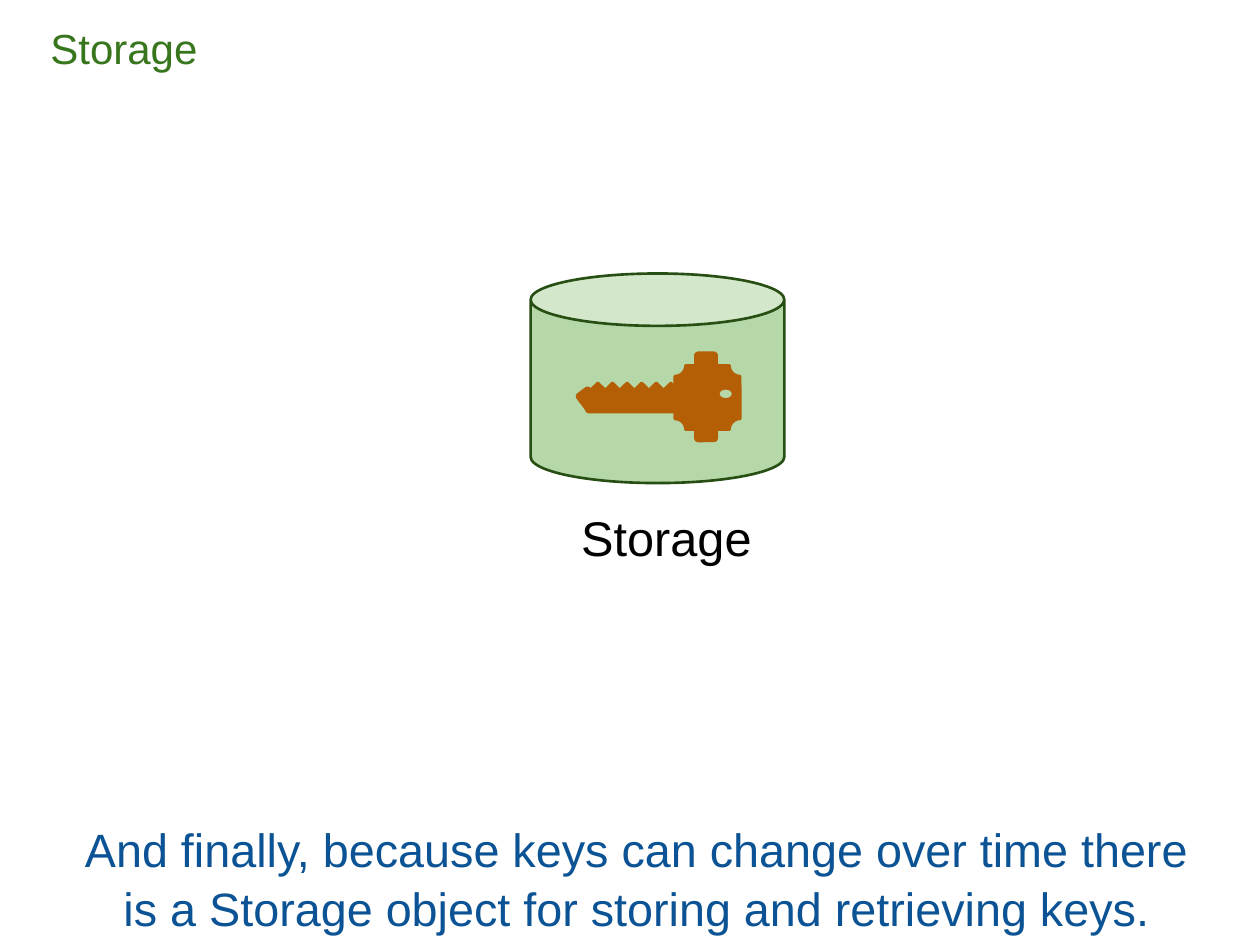
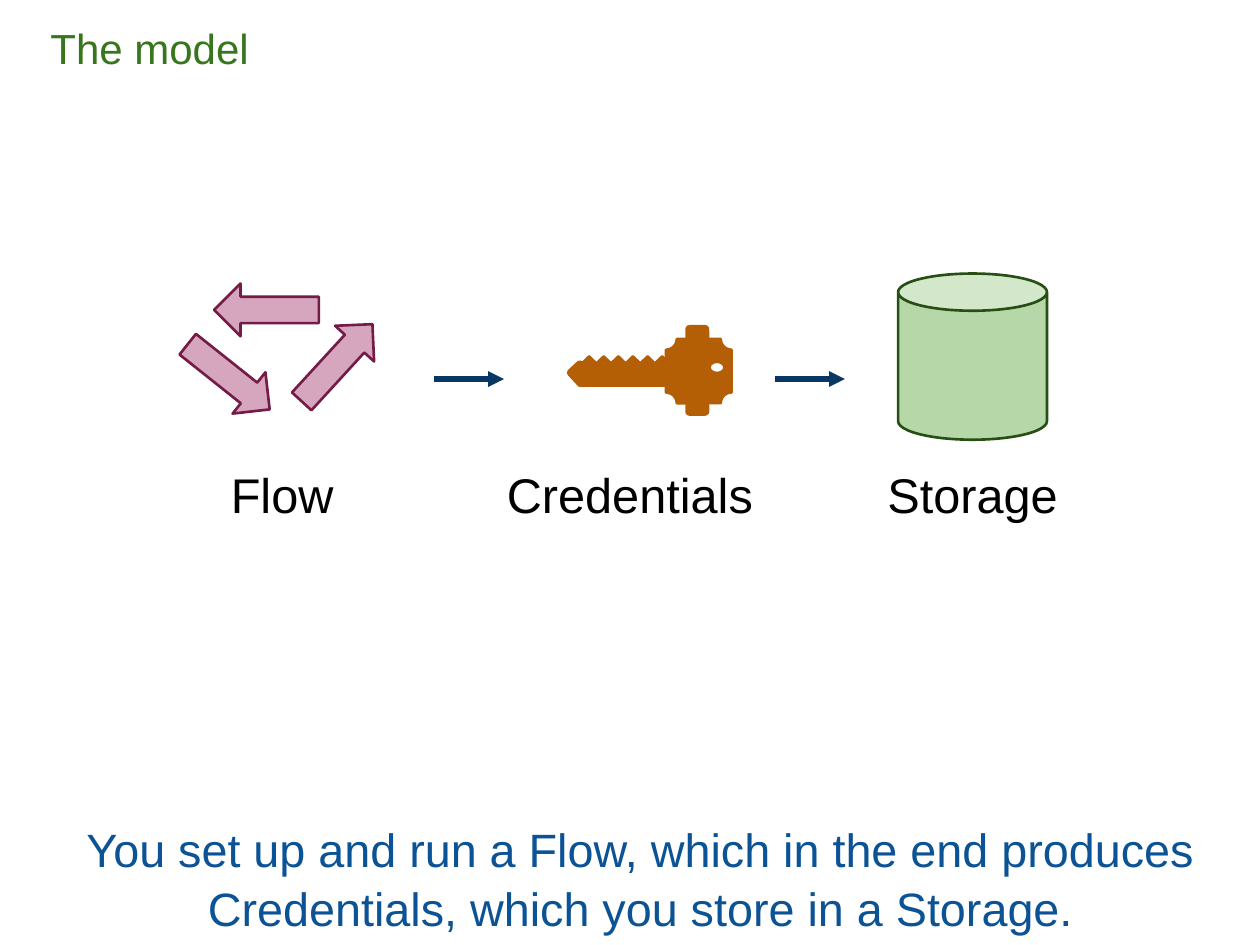
from dataclasses import dataclass
from typing import Any

from lxml.etree import SubElement
from pptx import Presentation
from pptx.dml.color import RGBColor
from pptx.enum.shapes import MSO_CONNECTOR, MSO_SHAPE
from pptx.enum.text import MSO_ANCHOR, MSO_AUTO_SIZE, PP_ALIGN
from pptx.oxml.ns import qn
from pptx.slide import Slide
from pptx.util import Pt

COLORS = {
    "title": "38761D",
    "caption": "0B5394",
    "label": "000000",
    "page": "FFFFFF",
    "storage": "B6D7A8",
    "storage_edge": "274E13",
    "key": "B45F06",
    "flow": "D5A6BD",
    "flow_edge": "741B47",
    "link": "073763",
}
FRAME_FORMAT = {
    "word_wrap": True,
    "auto_size": MSO_AUTO_SIZE.NONE,
    "margin_left": Pt(7.2),
    "margin_top": Pt(7.2),
    "margin_right": Pt(7.2),
    "margin_bottom": Pt(7.2),
}
LABEL_HEIGHT = 30.24
ROUNDING = 0.167


@dataclass(frozen=True)
class Box:
    left: float
    top: float
    width: float
    height: float
    rotation: float = 0

    def moved(self, dx: float, dy: float) -> "Box":
        return Box(self.left + dx, self.top + dy, self.width, self.height, self.rotation)

    def lengths(self) -> tuple:
        return Pt(self.left), Pt(self.top), Pt(self.width), Pt(self.height)


@dataclass(frozen=True)
class TextStyle:
    size: float
    color: str
    align: PP_ALIGN
    anchor: MSO_ANCHOR
    spacing: float = 1.0


@dataclass(frozen=True)
class Key:
    left: float
    top: float
    hole: str
    tip: Box


@dataclass(frozen=True)
class Label:
    text: str
    left: float
    top: float
    width: float = 115.2


TITLE = TextStyle(24, "title", PP_ALIGN.LEFT, MSO_ANCHOR.TOP)
LABEL = TextStyle(27.8, "label", PP_ALIGN.CENTER, MSO_ANCHOR.MIDDLE)
CAPTION = TextStyle(26.7, "caption", PP_ALIGN.CENTER, MSO_ANCHOR.TOP, 1.04)
TITLE_BOX = Box(21.6, 5.76, 686.88, 33.12)


def color(name: str) -> RGBColor:
    return RGBColor.from_string(COLORS[name])


def apply_format(target: Any, values: dict) -> None:
    for attribute, value in values.items():
        setattr(target, attribute, value)


def write(holder: Any, text: str, style: TextStyle) -> None:
    frame = holder.text_frame
    apply_format(frame, FRAME_FORMAT | {"vertical_anchor": style.anchor})
    paragraph = frame.paragraphs[0]
    apply_format(paragraph, {"alignment": style.align, "line_spacing": style.spacing})
    run = paragraph.add_run()
    run.text = text
    apply_format(run.font, {"name": "Arial", "size": Pt(style.size)})
    run.font.color.rgb = color(style.color)


def add_text(slide: Slide, box: Box, text: str, style: TextStyle) -> None:
    write(slide.shapes.add_textbox(*box.lengths()), text, style)


def add_label(slide: Slide, label: Label) -> None:
    box = Box(label.left, label.top, label.width, LABEL_HEIGHT)
    add_text(slide, box, label.text, LABEL)


def add_part(slide: Slide, kind: MSO_SHAPE, box: Box, fill: str, edge: str,
             adjustment: float | None = None) -> None:
    part = slide.shapes.add_shape(kind, *box.lengths())
    part.rotation = box.rotation
    part.shadow.inherit = False
    part.fill.solid()
    part.fill.fore_color.rgb = color(fill)
    part.line.color.rgb = color(edge)
    part.line.width = Pt(1.5)
    if adjustment is not None:
        part.adjustments[0] = adjustment


def add_storage(slide: Slide, box: Box) -> None:
    add_part(slide, MSO_SHAPE.CAN, box, "storage", "storage_edge", 0.25)


def add_key(slide: Slide, key: Key) -> None:
    def place(kind: MSO_SHAPE, box: Box, fill: str = "key",
              adjustment: float | None = None) -> None:
        add_part(slide, kind, box.moved(key.left, key.top), fill, "key", adjustment)

    place(MSO_SHAPE.PLAQUE, Box(54.4, 7.2, 37.4, 36.7), adjustment=ROUNDING)
    for top in (40.3, 0):
        place(MSO_SHAPE.ROUNDED_RECTANGLE, Box(66.2, top, 12.2, 10.1), adjustment=ROUNDING)
    place(MSO_SHAPE.OVAL, Box(79.2, 20.2, 8.6, 6.5), key.hole)
    for tooth in range(6):
        place(MSO_SHAPE.ISOSCELES_TRIANGLE, Box(8.35 * tooth, 17.2, 20.9, 10.1))
    for box in (key.tip, Box(3.8, 23.8, 62.6, 10.1)):
        place(MSO_SHAPE.ROUNDED_RECTANGLE, box, adjustment=ROUNDING)


def add_flow(slide: Slide) -> None:
    for left, top, rotation in ((122.4, 162, 0), (100.8, 200.2, 218.5), (162.7, 192.2, 132.5)):
        add_part(slide, MSO_SHAPE.LEFT_ARROW, Box(left, top, 59.8, 30.2, rotation),
                 "flow", "flow_edge")


def add_link(slide: Slide, left: float, length: float = 40, y: float = 216.6) -> None:
    link = slide.shapes.add_connector(
        MSO_CONNECTOR.STRAIGHT, Pt(left), Pt(y), Pt(left + length), Pt(y))
    link.line.color.rgb = color("link")
    link.line.width = Pt(3)
    SubElement(link.line._get_or_add_ln(), qn("a:tailEnd"), type="triangle")
    SubElement(link._element.spPr, qn("a:effectLst"))


def add_page(deck: Any, title: str, caption: str, caption_box: Box) -> Slide:
    slide = deck.slides.add_slide(deck.slide_layouts[5])
    slide.background.fill.solid()
    slide.background.fill.fore_color.rgb = color("page")
    heading = slide.shapes.title
    apply_format(heading, dict(zip(("left", "top", "width", "height"), TITLE_BOX.lengths())))
    write(heading, title, TITLE)
    add_text(slide, caption_box, caption, CAPTION)
    return slide


def build_storage(deck: Any) -> None:
    slide = add_page(
        deck, "Storage",
        "And finally, because keys can change over time there is a Storage object "
        "for storing and retrieving keys.",
        Box(33.84, 460.8, 660.96, 65.52))
    add_storage(slide, Box(303.2, 156.3, 145, 119.8))
    add_label(slide, Label("Storage", 323.28, 291.6))
    add_key(slide, Key(331.2, 201.6, "storage", Box(0.6, 20.9, 8.6, 11.5, 323)))


def build_model(deck: Any) -> None:
    slide = add_page(
        deck, "The model",
        "You set up and run a Flow, which in the end produces Credentials, "
        "which you store in a Storage.",
        Box(35.28, 460.8, 662.4, 65.52))
    add_storage(slide, Box(513.2, 156.3, 85.1, 95))
    add_flow(slide)
    for label in (Label("Flow", 103.68, 267.12),
                  Label("Credentials", 281.52, 267.12, 156.96),
                  Label("Storage", 498.24, 267.12)):
        add_label(slide, label)
    for left in (248, 442.8):
        add_link(slide, left)
    add_key(slide, Key(326.2, 186.5, "page", Box(0, 21.6, 10.1, 10.1, 316.7)))


deck = Presentation()
apply_format(deck, {"slide_width": Pt(720), "slide_height": Pt(540)})
build_storage(deck)
build_model(deck)
deck.save("out.pptx")
